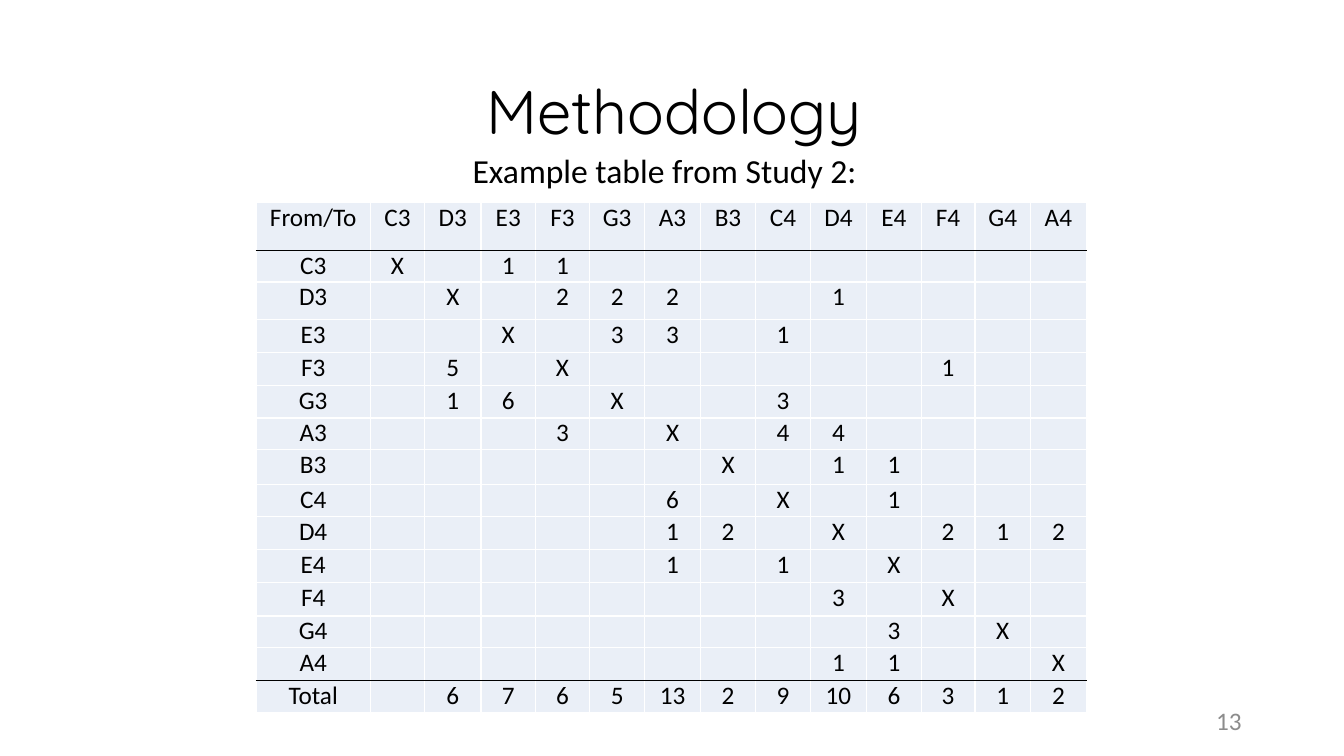
import pptx
import pptx.util
import pptx.dml.color
import pptx.enum.text
import pptx.oxml
import pptx.oxml.ns

Pt = pptx.util.Pt
RGB = pptx.dml.color.RGBColor
ALIGN = pptx.enum.text.PP_ALIGN
ANCHOR = pptx.enum.text.MSO_ANCHOR

BLACK = RGB(0, 0, 0)
WHITE = RGB(255, 255, 255)
GREY = RGB(0x8C, 0x8C, 0x8C)
PALE = RGB(0xEA, 0xEF, 0xF7)

NOTES = "C3 D3 E3 F3 G3 A3 B3 C4 D4 E4 F4 G4 A4".split()
MOVES = {
    "C3": {"E3": 1, "F3": 1},
    "D3": {"F3": 2, "G3": 2, "A3": 2, "D4": 1},
    "E3": {"G3": 3, "A3": 3, "C4": 1},
    "F3": {"D3": 5, "F4": 1},
    "G3": {"D3": 1, "E3": 6, "C4": 3},
    "A3": {"F3": 3, "C4": 4, "D4": 4},
    "B3": {"D4": 1, "E4": 1},
    "C4": {"A3": 6, "E4": 1},
    "D4": {"A3": 1, "B3": 2, "F4": 2, "G4": 1, "A4": 2},
    "E4": {"A3": 1, "C4": 1},
    "F4": {"D4": 3},
    "G4": {"E4": 3},
    "A4": {"D4": 1, "E4": 1},
}
WIDTHS = [81.4, 39, 40.2, 39, 38.5, 39.6, 39.6, 39.6, 39, 40.2, 39, 38.5, 39.6, 39.9]
HEIGHTS = [34.2, 22.4, 26.8, 23.6, 23.4, 23.4, 22.5, 25.2,
           23, 23.6, 23.6, 23.6, 22.4, 23.5, 23.5]


class Deck:
    """Holds the style and the current slide."""
    font = "Calibri"
    size = 18

    def __init__(self, wide, high):
        self.prs = pptx.Presentation()
        self.prs.slide_width, self.prs.slide_height = Pt(wide), Pt(high)
        self.slide = self.prs.slides.add_slide(self.prs.slide_layouts[5])

    def words(self, frame, text, align, **look):
        para = frame.paragraphs[0]
        para.alignment = align
        run = para.add_run()
        run.text = text
        look = {"name": self.font, "size": Pt(self.size), "color": BLACK} | look
        run.font.color.rgb = look.pop("color")
        for key, value in look.items():
            setattr(run.font, key, value)
        return para

    def place(self, shape, box):
        for key, value in zip(("left", "top", "width", "height"), box):
            setattr(shape, key, Pt(value))

    def title(self, text, box, **look):
        shape = self.slide.shapes.title
        self.place(shape, box)
        shape.text_frame.vertical_anchor = ANCHOR.MIDDLE
        self.words(shape.text_frame, text, ALIGN.CENTER, **look).line_spacing = 0.9

    def label(self, text, box, align, anchor, **look):
        shape = self.slide.shapes.add_textbox(*map(Pt, box))
        shape.text_frame.word_wrap = True
        shape.text_frame.vertical_anchor = anchor
        self.words(shape.text_frame, text, align, **look)

    def border(self, cell, sides):
        props = cell._tc.get_or_add_tcPr()
        for side, color in sides.items():
            props.append(pptx.oxml.parse_xml(
                f'<a:ln{side} {pptx.oxml.ns.nsdecls("a")} w="12700"><a:solidFill>'
                f'<a:srgbClr val="{color}"/></a:solidFill></a:ln{side}>'))

    def table(self, rows, left, top, widths, heights, rules):
        """Draw rows of text, with black rules below the rows in rules."""
        grid = self.slide.shapes.add_table(
            len(rows), len(widths), Pt(left), Pt(top),
            Pt(sum(widths)), Pt(sum(heights))).table
        for col, width in zip(grid.columns, widths):
            col.width = Pt(width)
        pads = {"margin_left": Pt(5), "margin_right": Pt(5),
                "margin_top": 0, "margin_bottom": 0}
        for r, row in enumerate(rows):
            grid.rows[r].height = Pt(heights[r])
            sides = {"L": WHITE, "R": WHITE,
                     "T": BLACK if r - 1 in rules else WHITE,
                     "B": BLACK if r in rules else WHITE}
            for c, text in enumerate(row):
                cell = grid.cell(r, c)
                for key, value in pads.items():
                    setattr(cell, key, value)
                self.border(cell, sides)
                cell.fill.solid()
                cell.fill.fore_color.rgb = PALE
                if text:
                    self.words(cell.text_frame, text, ALIGN.CENTER)


def entry(start, end):
    return "X" if start == end else str(MOVES[start].get(end, ""))


deck = Deck(960, 540)

# Table of moves between notes, with totals per target note
totals = [sum(row.get(note, 0) for row in MOVES.values()) for note in NOTES]
rows = [["From/To"] + NOTES]
rows += [[start] + [entry(start, end) for end in NOTES] for start in NOTES]
rows.append(["Total"] + [str(total or "") for total in totals])
deck.table(rows, 183, 144.8, WIDTHS, HEIGHTS, (0, len(NOTES)))

# Heading and caption
deck.title("Methodology", (67.7, 29.5, 828, 104.4), name="Quicksand", size=Pt(44))
deck.label("Example table from Study 2:", (330.5, 103.7, 417.6, 36),
           ALIGN.LEFT, ANCHOR.TOP, size=Pt(24))

# Page number
deck.label("13", (678, 500.5, 216, 28.8), ALIGN.RIGHT, ANCHOR.MIDDLE, color=GREY)

deck.prs.save("out.pptx")
